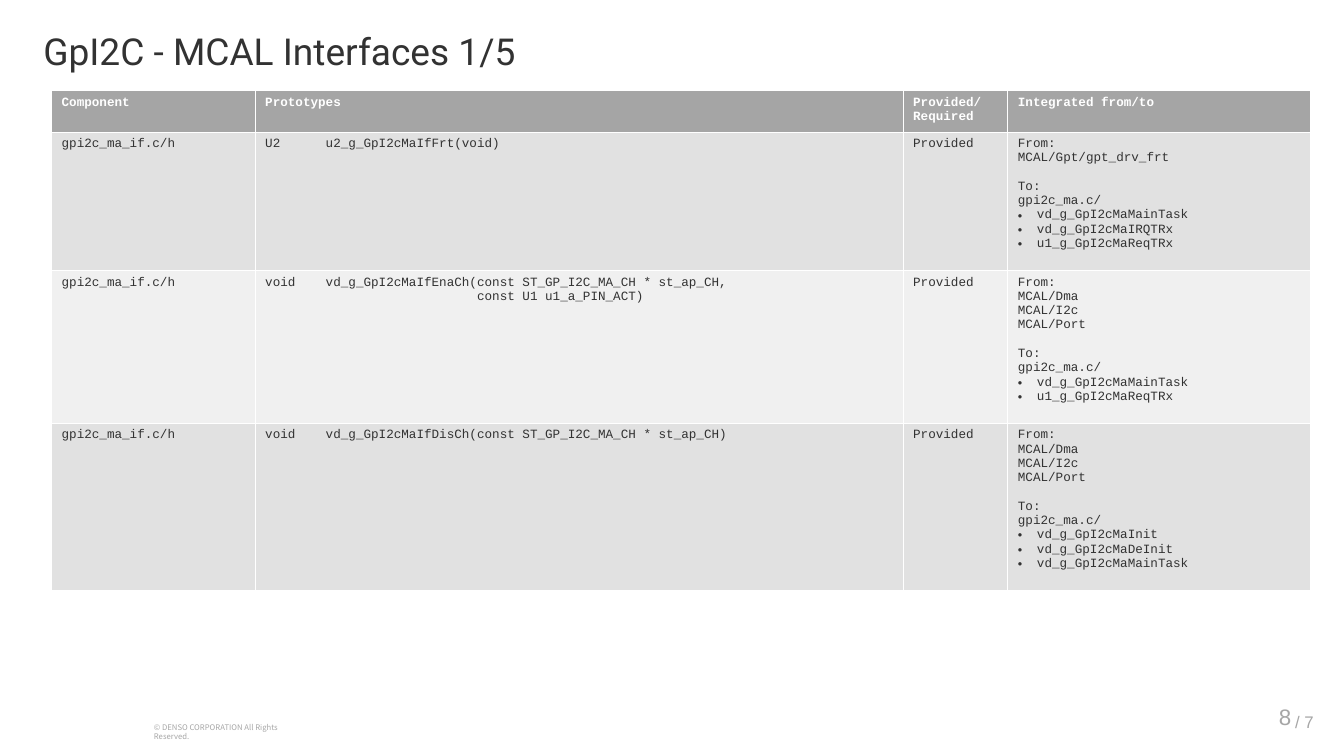
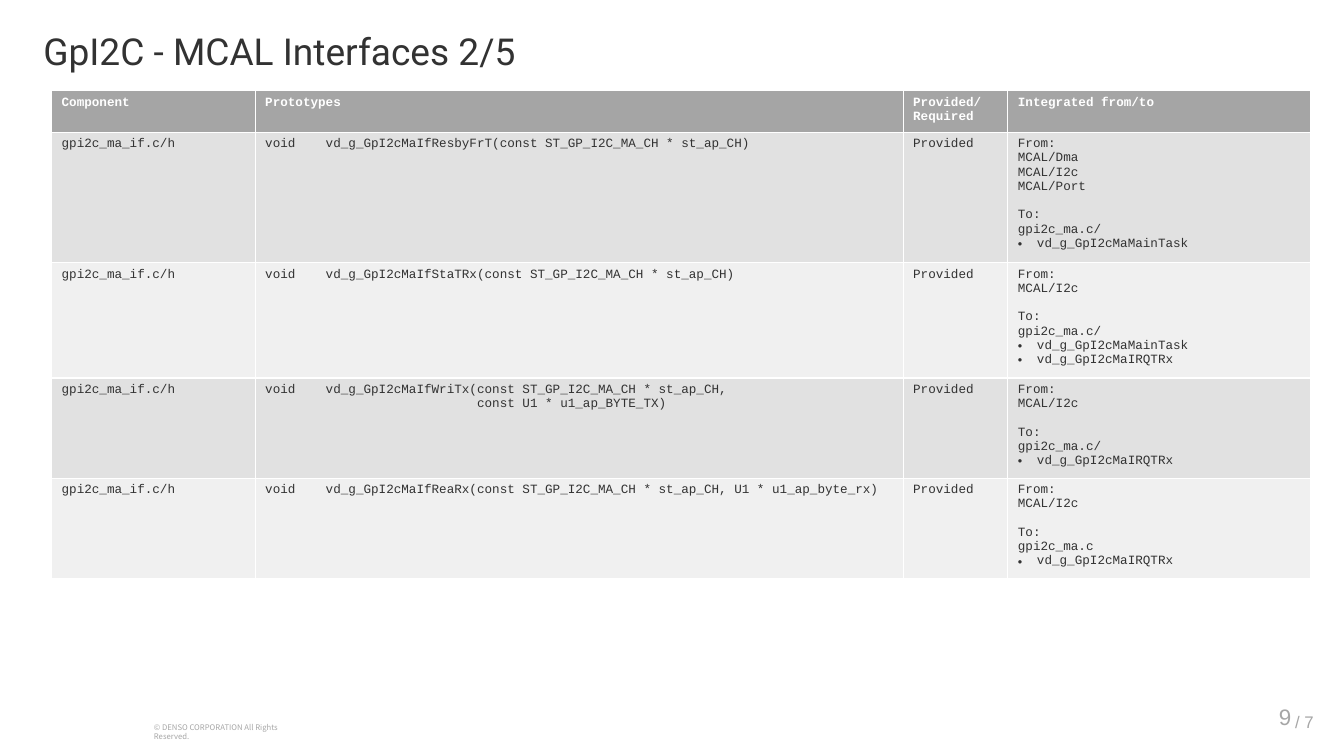
"""Build the GpI2C interface table slides."""
from pptx import Presentation
from pptx.dml.color import RGBColor
from pptx.enum.text import MSO_ANCHOR, MSO_AUTO_SIZE, PP_ALIGN
from pptx.oxml.ns import qn
from pptx.util import Cm, Pt
from lxml import etree

TOP, MIDDLE = MSO_ANCHOR.TOP, MSO_ANCHOR.MIDDLE
LEFT, RIGHT = PP_ALIGN.LEFT, PP_ALIGN.RIGHT
NO_AUTOFIT = MSO_AUTO_SIZE.NONE

INK = RGBColor(0x32, 0x32, 0x32)
WHITE = RGBColor(0xFF, 0xFF, 0xFF)
FOOTER_GREY = RGBColor(0xA6, 0xA6, 0xA6)
HEADER_FILL = RGBColor(0xA5, 0xA5, 0xA5)
BAND_FILLS = (RGBColor(0xE1, 0xE1, 0xE1), RGBColor(0xF0, 0xF0, 0xF0))

TITLE_FONT, CODE_FONT = "Roboto", "Courier New"
FOOTER_FONT, NUMBER_FONT = "Noto Sans CJK JP", "Arial"

COLUMN_WIDTHS = (5.13, 16.33, 2.64, 7.62)
HEADER_HEIGHT, LINE_HEIGHT, CELL_PADDING = 1.04, 0.36, 0.25
BULLET_INDENT = Cm(0.48)
GAP_BEFORE_TARGET = Pt(10.2)

HEADINGS = ("Component", "Prototypes", "Provided/\nRequired", "Integrated from/to")
COMPONENT, STATUS = "gpi2c_ma_if.c/h", "Provided"
FIRST_PAGE, LAST_PAGE = 8, 7
DRIVERS = ("MCAL/Dma", "MCAL/I2c", "MCAL/Port")
I2C = ("MCAL/I2c",)
TARGET = "gpi2c_ma.c/"

PAGES = [
    ("GpI2C - MCAL Interfaces 1/5", 1, [
        ("U2      u2_g_GpI2cMaIfFrt(void)",
         ("MCAL/Gpt/gpt_drv_frt",), TARGET,
         ("vd_g_GpI2cMaMainTask", "vd_g_GpI2cMaIRQTRx", "u1_g_GpI2cMaReqTRx")),
        ("void    vd_g_GpI2cMaIfEnaCh(const ST_GP_I2C_MA_CH * st_ap_CH,\n"
         "                            const U1 u1_a_PIN_ACT)",
         DRIVERS, TARGET, ("vd_g_GpI2cMaMainTask", "u1_g_GpI2cMaReqTRx")),
        ("void    vd_g_GpI2cMaIfDisCh(const ST_GP_I2C_MA_CH * st_ap_CH)",
         DRIVERS, TARGET,
         ("vd_g_GpI2cMaInit", "vd_g_GpI2cMaDeInit", "vd_g_GpI2cMaMainTask")),
    ]),
    ("GpI2C - MCAL Interfaces 2/5", 0, [
        ("void    vd_g_GpI2cMaIfResbyFrT(const ST_GP_I2C_MA_CH * st_ap_CH)",
         DRIVERS, TARGET, ("vd_g_GpI2cMaMainTask",)),
        ("void    vd_g_GpI2cMaIfStaTRx(const ST_GP_I2C_MA_CH * st_ap_CH)",
         I2C, TARGET, ("vd_g_GpI2cMaMainTask", "vd_g_GpI2cMaIRQTRx")),
        ("void    vd_g_GpI2cMaIfWriTx(const ST_GP_I2C_MA_CH * st_ap_CH,\n"
         "                            const U1 * u1_ap_BYTE_TX)",
         I2C, TARGET, ("vd_g_GpI2cMaIRQTRx",)),
        ("void    vd_g_GpI2cMaIfReaRx(const ST_GP_I2C_MA_CH * st_ap_CH, U1 * u1_ap_byte_rx)",
         I2C, "gpi2c_ma.c", ("vd_g_GpI2cMaIRQTRx",)),
    ]),
]


def style_runs(frame, font_name, size, color, bold=False):
    """Format every run of a text frame."""
    for paragraph in frame.paragraphs:
        for run in paragraph.runs:
            run.font.name = font_name
            run.font.size = Pt(size)
            run.font.color.rgb = color
            run.font.bold = bold


def add_bullet(paragraph):
    """Give a paragraph a hanging round bullet."""
    properties = paragraph._p.get_or_add_pPr()
    properties.set("marL", str(BULLET_INDENT))
    properties.set("indent", str(-BULLET_INDENT))
    etree.SubElement(properties, qn("a:buFont"), typeface="Arial")
    etree.SubElement(properties, qn("a:buChar"), char="•")


def fill_cell(cell, text, fill, color=INK, bold=False):
    """Write code text into a table cell on a plain fill."""
    cell.fill.solid()
    cell.fill.fore_color.rgb = fill
    cell.text_frame.text = text
    style_runs(cell.text_frame, CODE_FONT, 9, color, bold)


def fill_integration(cell, sources, target, functions, fill):
    """List where an interface comes from and which functions use it."""
    lines = ["From:", *sources, "To:", target, *functions]
    fill_cell(cell, "\n".join(lines), fill)
    paragraphs = cell.text_frame.paragraphs
    paragraphs[len(sources) + 1].space_before = GAP_BEFORE_TARGET
    for paragraph in paragraphs[-len(functions):]:
        add_bullet(paragraph)


def add_interface_table(slide, left, top, interfaces, spare_lines):
    """Place the interface table with its rows sized by their line counts."""
    table = slide.shapes.add_table(
        len(interfaces) + 1, len(COLUMN_WIDTHS), Cm(left), Cm(top),
        Cm(sum(COLUMN_WIDTHS)), Cm(HEADER_HEIGHT)).table
    for column, width in zip(table.columns, COLUMN_WIDTHS):
        column.width = Cm(width)
    table.rows[0].height = Cm(HEADER_HEIGHT)
    for index, heading in enumerate(HEADINGS):
        fill_cell(table.cell(0, index), heading, HEADER_FILL, WHITE, True)
    for row, (prototype, sources, target, functions) in enumerate(interfaces, 1):
        fill = BAND_FILLS[(row - 1) % 2]
        line_count = len(sources) + len(functions) + 4 + spare_lines
        table.rows[row].height = Cm(line_count * LINE_HEIGHT + CELL_PADDING)
        for index, text in enumerate((COMPONENT, prototype, STATUS)):
            fill_cell(table.cell(row, index), text, fill)
        fill_integration(table.cell(row, 3), sources, target, functions, fill)


def set_title(slide, text):
    """Fill and place the title placeholder."""
    title = slide.shapes.title
    title.left, title.top, title.width, title.height = Cm(0), Cm(0.71), Cm(30.02), Cm(1.14)
    frame = title.text_frame
    frame.text = text
    frame.auto_size = NO_AUTOFIT
    frame.vertical_anchor = TOP
    frame.margin_left, frame.margin_right = Cm(1.09), Cm(0.25)
    frame.margin_top = frame.margin_bottom = Cm(0.13)
    frame.paragraphs[0].alignment = LEFT
    frame.paragraphs[0].line_spacing = 0.9
    style_runs(frame, TITLE_FONT, 26.5, INK)


def add_label(slide, box, text, font_name, size, anchor=MIDDLE, align=LEFT, wrap=True):
    """Place one grey footer text in a box given in centimetres."""
    frame = slide.shapes.add_textbox(*(Cm(length) for length in box)).text_frame
    frame.text = text
    frame.word_wrap = wrap
    frame.vertical_anchor = anchor
    frame.margin_top = frame.margin_bottom = Cm(0.1)
    frame.paragraphs[0].alignment = align
    style_runs(frame, font_name, size, FOOTER_GREY)


def add_footer(slide, page):
    """Place the copyright line and the page count."""
    add_label(slide, (3.63, 18.11, 4.2, 0.76),
              "© DENSO CORPORATION All Rights Reserved.", FOOTER_FONT, 5.5, TOP)
    add_label(slide, (30.99, 17.6, 1.8, 0.89), str(page), NUMBER_FONT, 16, align=RIGHT)
    add_label(slide, (32.39, 17.83, 0.99, 0.71), f"/ {LAST_PAGE}", NUMBER_FONT, 12, wrap=False)


def main():
    """Build and save the presentation."""
    presentation = Presentation()
    presentation.slide_width, presentation.slide_height = Cm(33.87), Cm(19.05)
    title_only = presentation.slide_layouts[5]
    for page, (title, spare_lines, interfaces) in enumerate(PAGES, FIRST_PAGE):
        slide = presentation.slides.add_slide(title_only)
        add_footer(slide, page)
        set_title(slide, title)
        add_interface_table(slide, 1.3, 2.29, interfaces, spare_lines)
    presentation.save("out.pptx")


if __name__ == "__main__":
    main()
